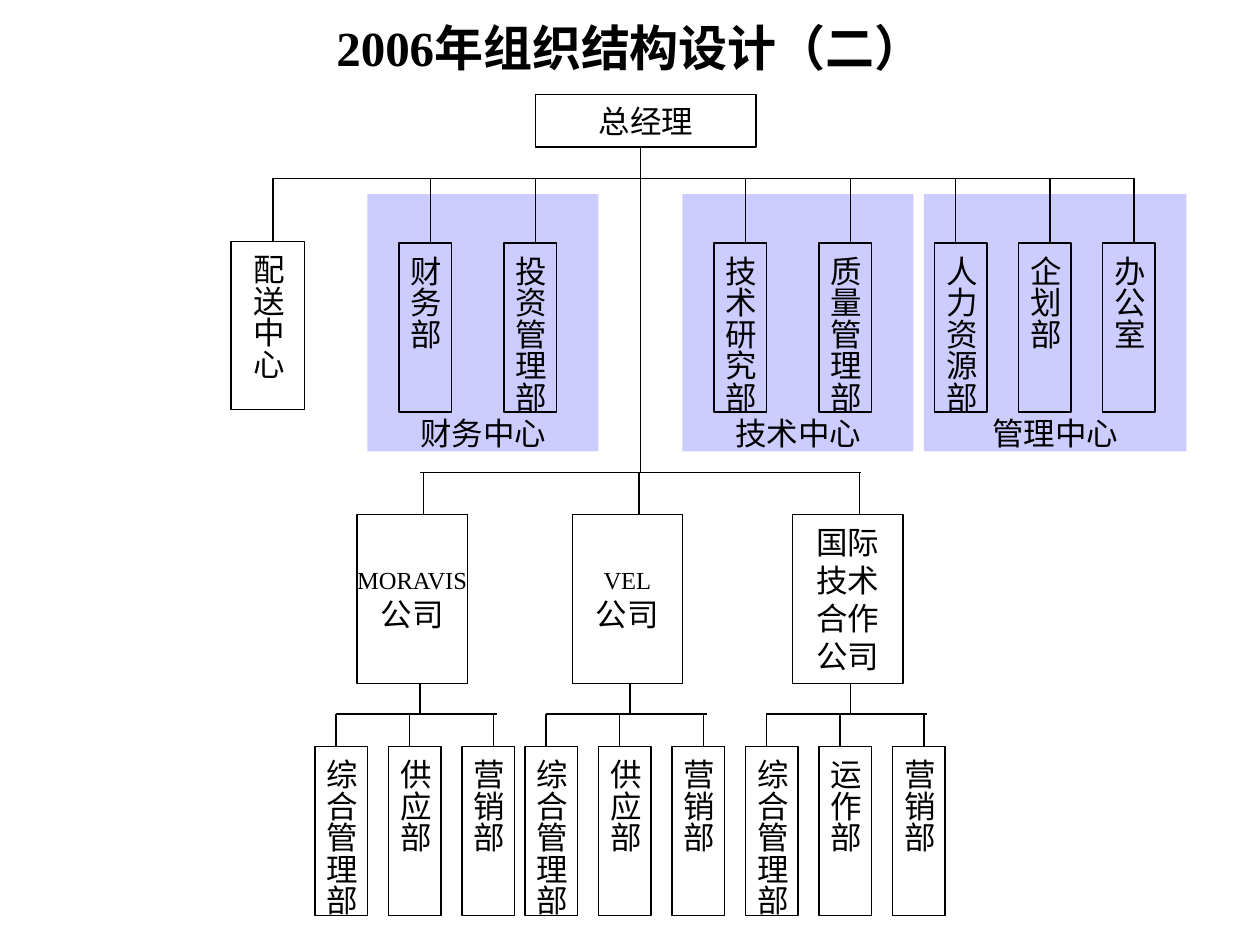
import dataclasses

import pptx
import pptx.dml.color
import pptx.enum.shapes
import pptx.enum.text
import pptx.oxml
import pptx.oxml.ns
import pptx.util


@dataclasses.dataclass(frozen=True)
class Theme:
    """Colours, type sizes and line width of the chart."""

    font: str = "Times New Roman"
    ink: str = "000000"
    band: str = "CCCCFF"
    title_size: int = 28
    body_size: int = 18
    code_size: int = 14
    line_width: float = 0.75


@dataclasses.dataclass(frozen=True)
class Box:
    """A rectangle measured in grid columns and rows."""

    left: float
    top: float
    width: float
    height: float

    def inner(self, left, top, width, height):
        """Return a box placed relative to this one."""
        return Box(self.left + left, self.top + top, width, height)


THEME = Theme()
COLUMNS, ROWS = 120, 90
SLIDE_WIDTH, SLIDE_HEIGHT = pptx.util.Inches(10), pptx.util.Inches(7.5)
DEPARTMENT_WIDTH, UNIT_HEIGHT = 5, 16.1
COMPANY_WIDTH = 10.5


def across(columns):
    """Convert grid columns to a length."""
    return round(SLIDE_WIDTH * columns / COLUMNS)


def down(rows):
    """Convert grid rows to a length."""
    return round(SLIDE_HEIGHT * rows / ROWS)


def place(box):
    """Convert a grid box to shape coordinates."""
    return across(box.left), down(box.top), across(box.width), down(box.height)


def colour(value):
    """Convert a hexadecimal string to a colour."""
    return pptx.dml.color.RGBColor.from_string(value)


def write(shape, lines, sizes, wrap=False, bold=False):
    """Write centred paragraphs in a shape."""
    frame = shape.text_frame
    frame.word_wrap = wrap
    frame.vertical_anchor = pptx.enum.text.MSO_ANCHOR.MIDDLE
    frame.text = "\n".join(lines)
    for paragraph, size in zip(frame.paragraphs, sizes):
        paragraph.alignment = pptx.enum.text.PP_ALIGN.CENTER
        paragraph.font.name = THEME.font
        paragraph.font.size = pptx.util.Pt(size)
        paragraph.font.bold = bold
        paragraph.font.color.rgb = colour(THEME.ink)


def add_box(slide, box, lines, sizes=(THEME.body_size,), wrap=False, fill=None):
    """Add an outlined box, or a filled box without an outline."""
    shape = slide.shapes.add_shape(
        pptx.enum.shapes.MSO_SHAPE.RECTANGLE, *place(box))
    shape.shadow.inherit = False
    if fill:
        shape.fill.solid()
        shape.fill.fore_color.rgb = colour(fill)
        shape.line.fill.background()
    else:
        shape.fill.background()
        shape.line.color.rgb = colour(THEME.ink)
        shape.line.width = pptx.util.Pt(THEME.line_width)
    write(shape, lines, sizes, wrap)
    return shape


def add_line(slide, start_column, start_row, end_column, end_row):
    """Add a straight line between two grid points."""
    line = slide.shapes.add_connector(
        pptx.enum.shapes.MSO_CONNECTOR.STRAIGHT,
        across(start_column), down(start_row), across(end_column), down(end_row))
    line.line.color.rgb = colour(THEME.ink)
    line.line.width = pptx.util.Pt(THEME.line_width)
    properties = line.element.find(pptx.oxml.ns.qn("p:spPr"))
    properties.append(pptx.oxml.parse_xml(
        f'<a:effectLst {pptx.oxml.ns.nsdecls("a")}/>'))


def add_department(slide, box, name, stem, stem_top):
    """Add a vertical department box with the stem above it."""
    add_line(slide, box.left + stem, stem_top, box.left + stem, box.top)
    frame = add_box(slide, box, [name]).text_frame
    frame.margin_left = frame.margin_right = pptx.util.Inches(0.05)
    frame.margin_top = frame.margin_bottom = pptx.util.Inches(0.1)
    body = frame._txBody.find(pptx.oxml.ns.qn("a:bodyPr"))
    body.set("vert", "eaVert")


def add_title(slide, box, text):
    """Add the slide title."""
    write(slide.shapes.add_textbox(*place(box)), [text], [THEME.title_size],
          wrap=True, bold=True)


def add_head_office(slide, box):
    """Add the general manager, the trunk and the two main bars."""
    add_box(slide, box, ["总经理"])
    trunk, upper_bar, lower_bar = box.left + 10, box.top + 8, box.top + 36
    add_line(slide, trunk, box.top + box.height, trunk, lower_bar)
    add_line(slide, box.left - 25, upper_bar, box.left + 57, upper_bar)
    add_line(slide, box.left - 11, lower_bar, box.left + 31, lower_bar)


def add_centre(slide, box, name, departments):
    """Add a shaded centre and its departments."""
    frame = add_box(slide, box, [name], fill=THEME.band).text_frame
    frame.vertical_anchor = pptx.enum.text.MSO_ANCHOR.BOTTOM
    frame.margin_bottom = 0
    for department, offset, stem in departments:
        department_box = box.inner(offset, 4.65, DEPARTMENT_WIDTH, UNIT_HEIGHT)
        add_department(slide, department_box, department, stem, box.top - 1.5)


def add_company(slide, box, offset, lines, sizes, departments):
    """Add a company with the stem above and its departments below."""
    company = box.inner(offset, 4, COMPANY_WIDTH, UNIT_HEIGHT)
    stem = company.left + 6.35
    add_line(slide, stem, box.top, stem, company.top)
    add_box(slide, company, lines, sizes, wrap=len(lines) == 1)
    trunk, bar = box.left + 10, box.top + 23
    add_line(slide, trunk, company.top + company.height, trunk, bar)
    add_line(slide, box.left + 2, bar, box.left + 17.3, bar)
    for index, (department, department_stem) in enumerate(zip(departments, (2, 2, 3))):
        department_box = box.inner(7 * index, 26.1, DEPARTMENT_WIDTH, UNIT_HEIGHT)
        add_department(slide, department_box, department, department_stem, bar)


def main():
    """Build the organisation chart."""
    presentation = pptx.Presentation()
    presentation.slide_width, presentation.slide_height = SLIDE_WIDTH, SLIDE_HEIGHT
    slide = presentation.slides.add_slide(presentation.slide_layouts[6])
    add_title(slide, Box(9, 2, 102, 5), "2006年组织结构设计（二）")
    centres = [
        (35, 22, "财务中心", [("财务部", 3, 3), ("投资管理部", 13, 3)]),
        (65, 22, "技术中心", [("技术研究部", 3, 3), ("质量管理部", 13, 3)]),
        (88, 25, "管理中心",
         [("人力资源部", 1, 2), ("企划部", 9, 3), ("办公室", 17, 3)]),
    ]
    for left, width, name, departments in centres:
        add_centre(slide, Box(left, 18.5, width, 24.5), name, departments)
    add_head_office(slide, Box(51, 9, 21, 5))
    add_department(slide, Box(22, 23, 7, 16), "配送中心", 4, 17)
    pair = (THEME.code_size, THEME.body_size)
    supply = ("综合管理部", "供应部", "营销部")
    companies = [
        (30, 4, ["MORAVIS", "公司"], pair, supply),
        (50, 4.5, ["VEL", "公司"], pair, supply),
        (71, 4.5, ["国际技术合作公司"], (THEME.body_size,),
         ("综合管理部", "运作部", "营销部")),
    ]
    for left, offset, lines, sizes, departments in companies:
        add_company(slide, Box(left, 45, 19, 42.2), offset, lines, sizes, departments)
    presentation.save("out.pptx")


if __name__ == "__main__":
    main()
